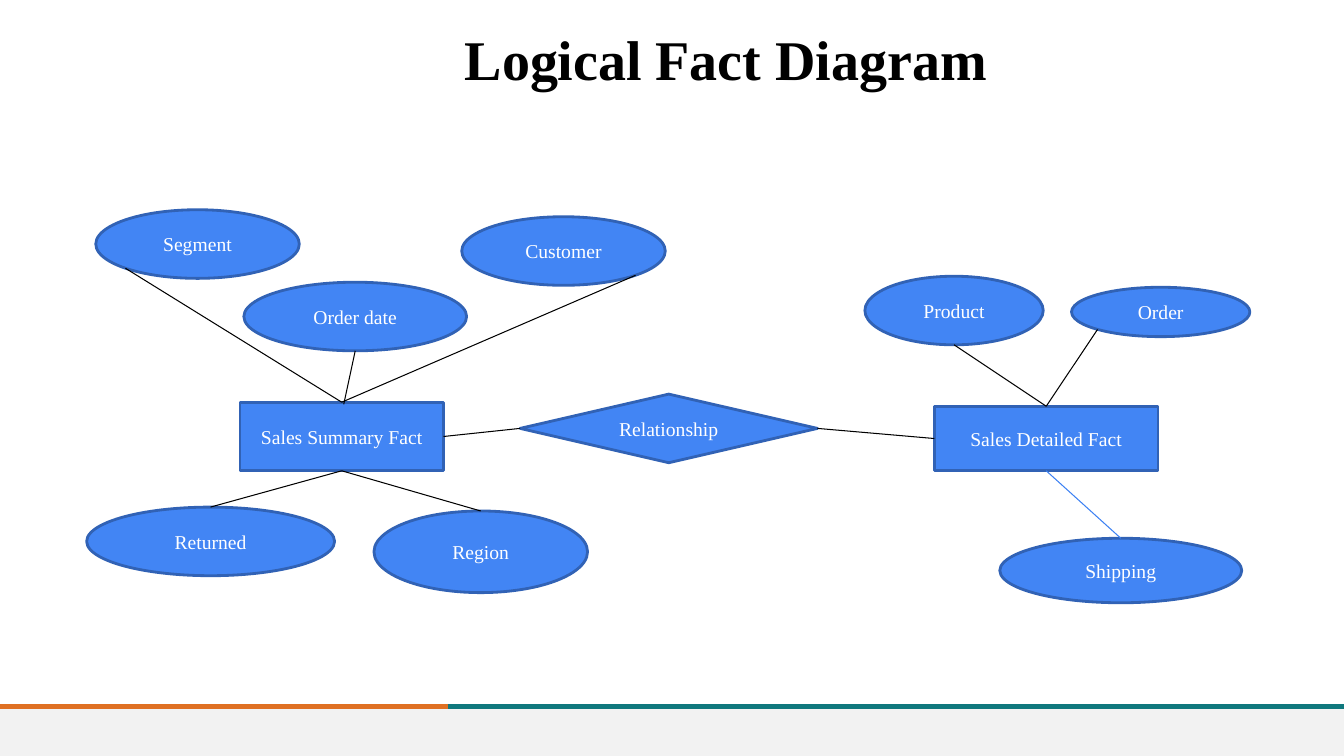
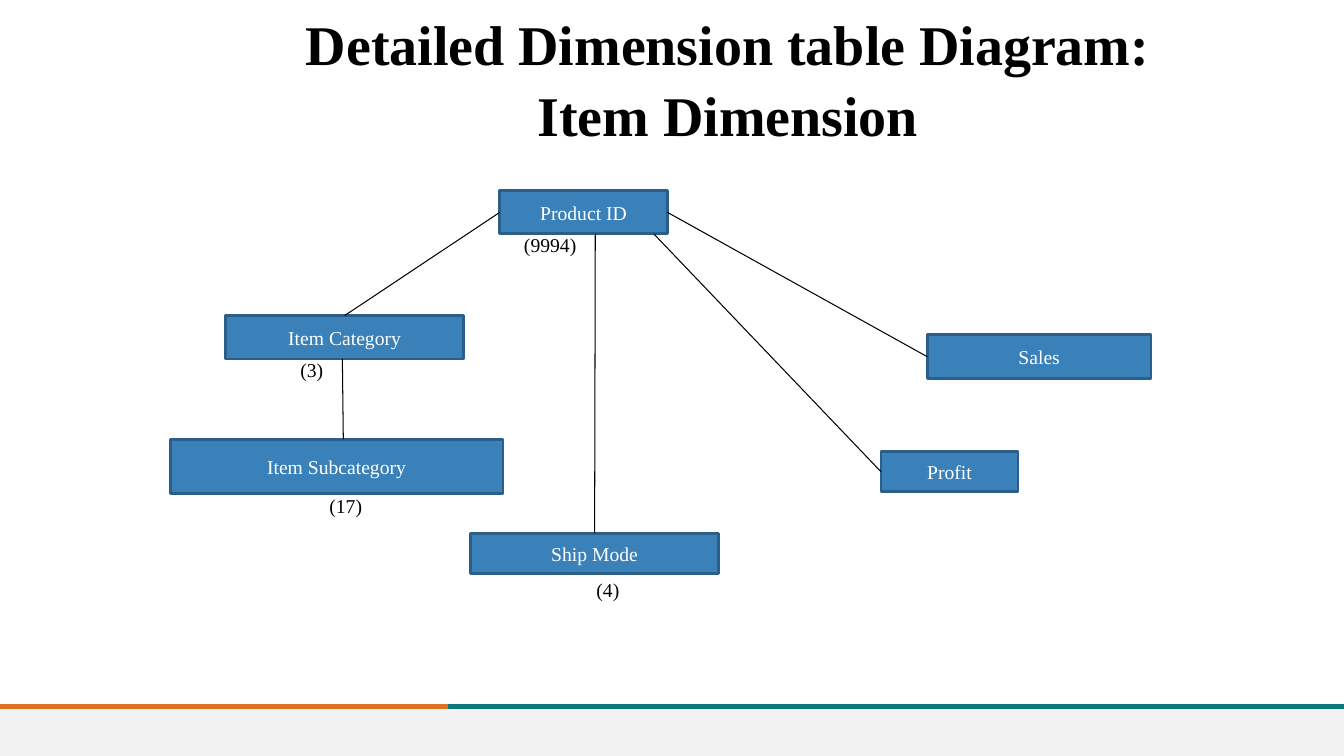
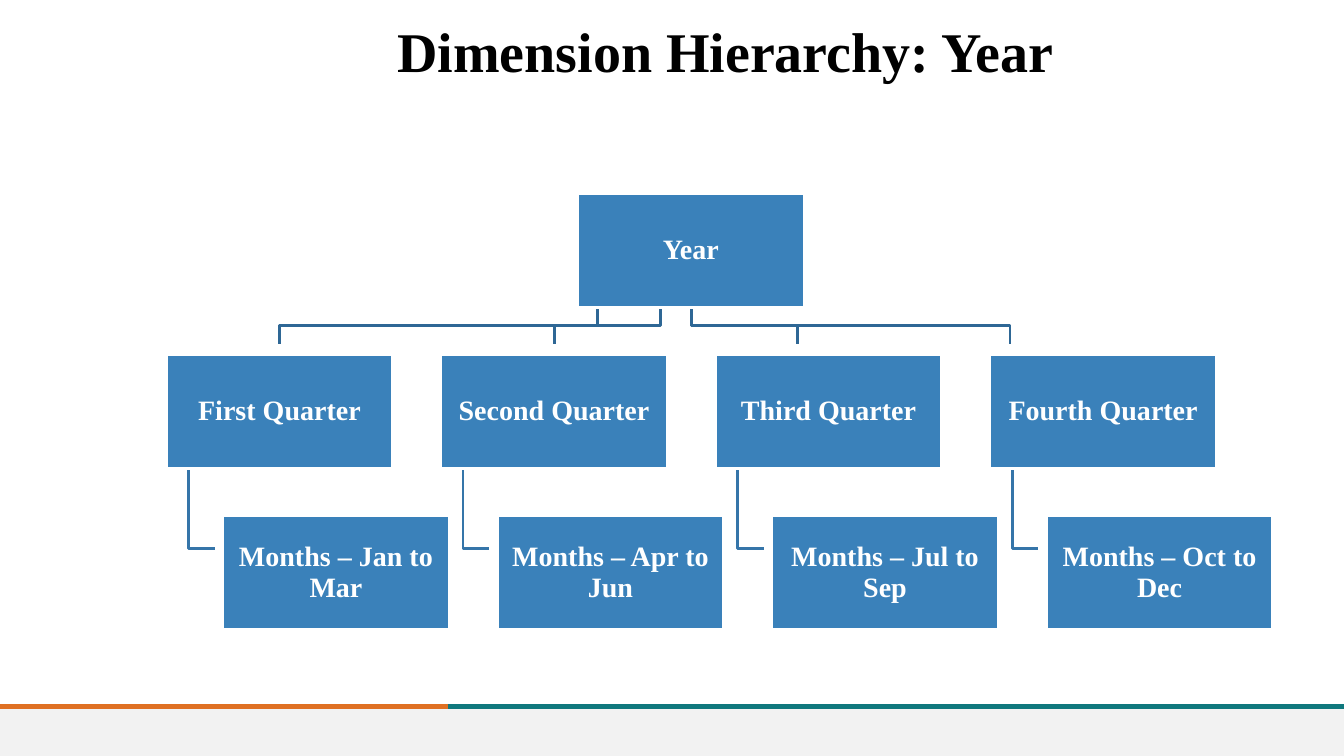
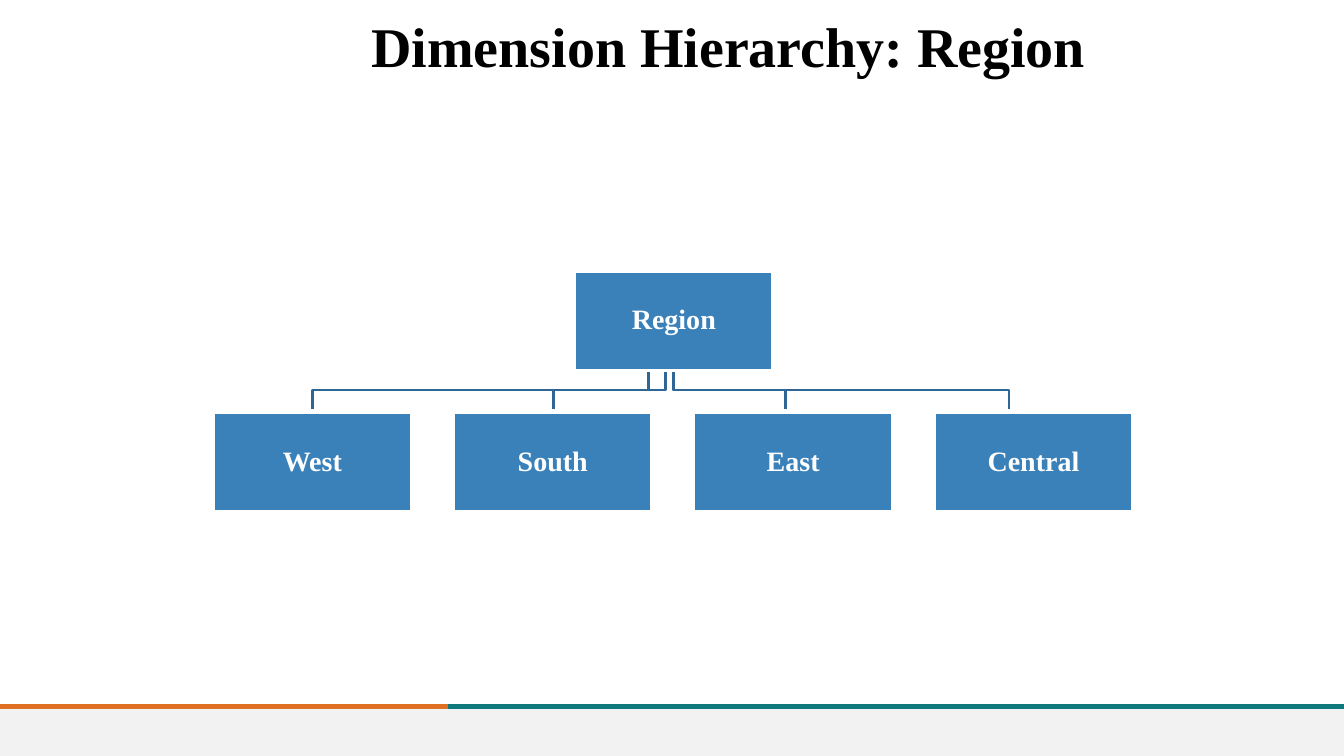
import pptx
import pptx.util
import pptx.dml.color
import pptx.enum.shapes
import pptx.enum.text
import pptx.oxml.ns
import lxml.etree

Pt = pptx.util.Pt
RGB = pptx.dml.color.RGBColor
KIND = pptx.enum.shapes.MSO_SHAPE
ALIGN = pptx.enum.text.PP_ALIGN
ANCHOR = pptx.enum.text.MSO_ANCHOR

FONT = "Times New Roman"
BLACK = RGB(0x00, 0x00, 0x00)
WHITE = RGB(0xFF, 0xFF, 0xFF)
GREY = RGB(0xF2, 0xF2, 0xF2)
ORANGE = RGB(0xDF, 0x70, 0x23)
TEAL = RGB(0x0F, 0x78, 0x7D)
BLUE = RGB(0x42, 0x85, 0xF4)
NAVY = RGB(0x31, 0x62, 0xB5)
SKY = RGB(0x3C, 0x81, 0xF3)
STEEL = RGB(0x3A, 0x81, 0xBA)
EDGE = RGB(0x2B, 0x5F, 0x8A)
BRANCH = RGB(0x2E, 0x67, 0x95)
HOOK = RGB(0x35, 0x75, 0xA9)

WIDTH, HEIGHT = 960, 540
BAND, SPLIT = 504.7, 320

TOP, LEFT, LOW, RIGHT = (0.5, 0), (0, 0.5), (0.5, 1), (1, 0.5)
LOWLEFT, LOWRIGHT = (0.146, 0.854), (0.854, 0.854)

FACTS = {
    "Sales Summary Fact": (KIND.RECTANGLE, 171.4, 287.3, 145.4, 49),
    "Relationship": (KIND.FLOWCHART_DECISION, 371.5, 281.5, 212.4, 49),
    "Sales Detailed Fact": (KIND.RECTANGLE, 667.4, 290.2, 159.8, 46.1),
    "Product": (KIND.OVAL, 617.8, 197.3, 127.4, 49),
    "Order": (KIND.OVAL, 765.4, 205.2, 127.4, 35.3),
    "Shipping": (KIND.OVAL, 714.2, 384.5, 172.8, 46.1),
    "Customer": (KIND.OVAL, 329.8, 154.8, 145.4, 49),
    "Region": (KIND.OVAL, 267.1, 365, 152.6, 58.3),
    "Order date": (KIND.OVAL, 174.2, 201.6, 159.1, 49),
    "Segment": (KIND.OVAL, 68.4, 149.8, 145.4, 49),
    "Returned": (KIND.OVAL, 61.9, 362.2, 177.1, 49),
}
FACTLINKS = [
    ("Sales Summary Fact", RIGHT, "Relationship", LEFT, BLACK),
    ("Relationship", RIGHT, "Sales Detailed Fact", LEFT, BLACK),
    ("Sales Detailed Fact", TOP, "Order", LOWLEFT, BLACK),
    ("Sales Detailed Fact", TOP, "Product", LOW, BLACK),
    ("Sales Detailed Fact", LOW, "Shipping", TOP, SKY),
    ("Sales Summary Fact", (0.51, 0.03), "Order date", LOW, BLACK),
    ("Sales Summary Fact", TOP, "Customer", LOWRIGHT, BLACK),
    ("Sales Summary Fact", TOP, "Segment", LOWLEFT, BLACK),
    ("Sales Summary Fact", LOW, "Returned", TOP, BLACK),
    ("Sales Summary Fact", LOW, "Region", TOP, BLACK),
]
ITEMS = {
    "Product ID": (KIND.RECTANGLE, 357.1, 136.1, 119.5, 31),
    "Sales": (KIND.RECTANGLE, 662.4, 239, 159.8, 31.7),
    "Profit": (KIND.RECTANGLE, 629.3, 322.6, 97.9, 28.8),
    "Item Category": (KIND.RECTANGLE, 161.3, 225.4, 169.9, 31),
    "Item Subcategory": (KIND.RECTANGLE, 121.7, 313.9, 237.6, 38.9),
    "Ship Mode": (KIND.RECTANGLE, 336.2, 380.9, 177.1, 28.8),
}
ITEMLINKS = [
    ("Product ID", LEFT, "Item Category", TOP, BLACK),
    ("Item Category", (0.49, 1), "Item Subcategory", (0.52, 0), BLACK),
    ("Product ID", (0.92, 1), "Profit", LEFT, BLACK),
    ("Product ID", RIGHT, "Sales", LEFT, BLACK),
    ("Product ID", (0.57, 1), "Ship Mode", TOP, BLACK),
]
COUNTS = [
    ("(17)", 228.2, 349.2, 43.9),
    ("(3)", 207.4, 252, 36.7),
    ("(4)", 419, 409, 45.4),
    ("(9994)", 367.2, 162.7, 56.9),
]
YEAR = {
    "root": ("Year", 412.6, 138.2),
    "size": (161.8, 81.2),
    "row": (118.8, 253.4, 196.1),
    "kids": ["First Quarter", "Second Quarter", "Third Quarter", "Fourth Quarter"],
    "leaves": ["Months – Jan to Mar", "Months – Apr to Jun",
               "Months – Jul to Sep", "Months – Oct to Dec"],
    "stubs": [(427, 199.4), (471.6, 396), (493.9, 569.5), (493.9, 721.4)],
    "levels": (219.6, 232.6, 245.5),
}
REGION = {
    "root": ("Region", 410.6, 193.7),
    "size": (141.5, 71.1),
    "row": (152.4, 294.5, 171.7),
    "kids": ["West", "South", "East", "Central"],
    "leaves": [],
    "stubs": [(463, 223.2), (475.2, 395.3), (481, 560.9), (481, 720.7)],
    "levels": (265, 278.6, 292.3),
}


def text(shape, words, size=14, color=WHITE, bold=False, align=ALIGN.CENTER,
         anchor=ANCHOR.MIDDLE, inset=None, lead=1.0, wrap=True):
    frame = shape.text_frame
    frame.word_wrap = wrap
    frame.auto_size = pptx.enum.text.MSO_AUTO_SIZE.NONE
    frame.vertical_anchor = anchor
    if inset is not None:
        frame.margin_left = frame.margin_right = Pt(inset)
        frame.margin_top = frame.margin_bottom = Pt(inset)
    para = frame.paragraphs[0]
    para.text = words
    para.alignment = align
    para.line_spacing = lead
    font = para.runs[0].font
    font.name, font.size, font.bold = FONT, Pt(size), bold
    font.color.rgb = color


def box(slide, kind, x, y, w, h, fill, edge=None):
    shape = slide.shapes.add_shape(kind, Pt(x), Pt(y), Pt(w), Pt(h))
    shape.shadow.inherit = False
    shape.fill.solid()
    shape.fill.fore_color.rgb = fill
    if edge is None:
        shape.line.fill.background()
    else:
        shape.line.color.rgb = edge
        shape.line.width = Pt(2)
    return shape


def line(slide, start, end, color, width=0.75):
    link = slide.shapes.add_connector(
        pptx.enum.shapes.MSO_CONNECTOR.STRAIGHT, *map(Pt, (*start, *end)))
    link.line.color.rgb = color
    link.line.width = Pt(width)
    lxml.etree.SubElement(link.element.spPr, pptx.oxml.ns.qn("a:effectLst"))
    return link


def trace(slide, points, color):
    spots = [(Pt(x), Pt(y)) for x, y in points]
    pen = slide.shapes.build_freeform(*spots[0])
    pen.add_line_segments(spots[1:], close=False)
    shape = pen.convert_to_shape()
    shape.shadow.inherit = False
    shape.fill.background()
    shape.line.color.rgb = color
    shape.line.width = Pt(2)


def spot(place, share):
    kind, x, y, w, h = place
    return x + w * share[0], y + h * share[1]


def graph(slide, nodes, links, fill, edge):
    for words, place in nodes.items():
        text(box(slide, *place, fill, edge), words)
    for first, out, last, into, color in links:
        line(slide, spot(nodes[first], out), spot(nodes[last], into), color)


def tree(slide, plan):
    w, h = plan["size"]
    left, top, step = plan["row"]
    high, mid, low = plan["levels"]
    cards = [plan["root"]]
    for start, end in plan["stubs"]:
        trace(slide, [(start, high), (start, mid), (end, mid), (end, low)], BRANCH)
    for i, words in enumerate(plan["kids"]):
        cards.append((words, left + i * step, top))
    for i, words in enumerate(plan["leaves"]):
        x = left + i * step
        stem, foot = x + 15.9, top + 138.3
        trace(slide, [(stem, top + h), (stem, foot), (stem + 18.7, foot)], HOOK)
        cards.append((words, x + 40.3, top + 115.2))
    for words, x, y in cards:
        card = box(slide, KIND.RECTANGLE, x, y, w, h, STEEL, WHITE)
        text(card, words, size=20, bold=True, inset=0.72, lead=0.9)


def page(deck, words, x, y, w, h, **style):
    slide = deck.slides.add_slide(deck.slide_layouts[5])
    title = slide.shapes.title
    title.left, title.top, title.width, title.height = map(Pt, (x, y, w, h))
    text(title, words, size=40, color=BLACK, bold=True, **style)
    return slide


def footer(slide):
    layout = slide.slide_layout
    for holder in list(layout.placeholders)[1:]:
        holder.element.getparent().remove(holder.element)
    parts = [
        box(slide, KIND.RECTANGLE, 0, BAND, WIDTH, HEIGHT - BAND, GREY),
        line(slide, (0, BAND), (SPLIT, BAND), ORANGE, 4),
        line(slide, (SPLIT, BAND), (WIDTH, BAND), TEAL, 4),
    ]
    for part in parts:
        layout.shapes.element.append(part.element)


def main():
    deck = pptx.Presentation()
    deck.slide_width, deck.slide_height = Pt(WIDTH), Pt(HEIGHT)
    upper = {"anchor": ANCHOR.TOP, "lead": 1.06}
    lower = {"anchor": ANCHOR.BOTTOM, "inset": 7.2}

    slide = page(deck, "Logical Fact Diagram", 159.1, 10.8, 718.6, 54.7, **upper)
    footer(slide)
    graph(slide, FACTS, FACTLINKS, BLUE, NAVY)

    slide = page(deck, "Detailed Dimension table Diagram: Item Dimension",
                 180.7, 0, 678.2, 95, **upper)
    graph(slide, ITEMS, ITEMLINKS, STEEL, EDGE)
    for words, x, y, w in COUNTS:
        note = slide.shapes.add_textbox(Pt(x), Pt(y), Pt(w), Pt(25.9))
        text(note, words, color=BLACK, align=ALIGN.LEFT, anchor=ANCHOR.TOP)

    slide = page(deck, "Dimension Hierarchy: Year", 256.3, 18, 523.4, 49, **lower)
    tree(slide, YEAR)

    slide = page(deck, "Dimension Hierarchy: Region", 222.5, 14.4, 595.4, 49, **lower)
    tree(slide, REGION)

    deck.save("out.pptx")


if __name__ == "__main__":
    main()
